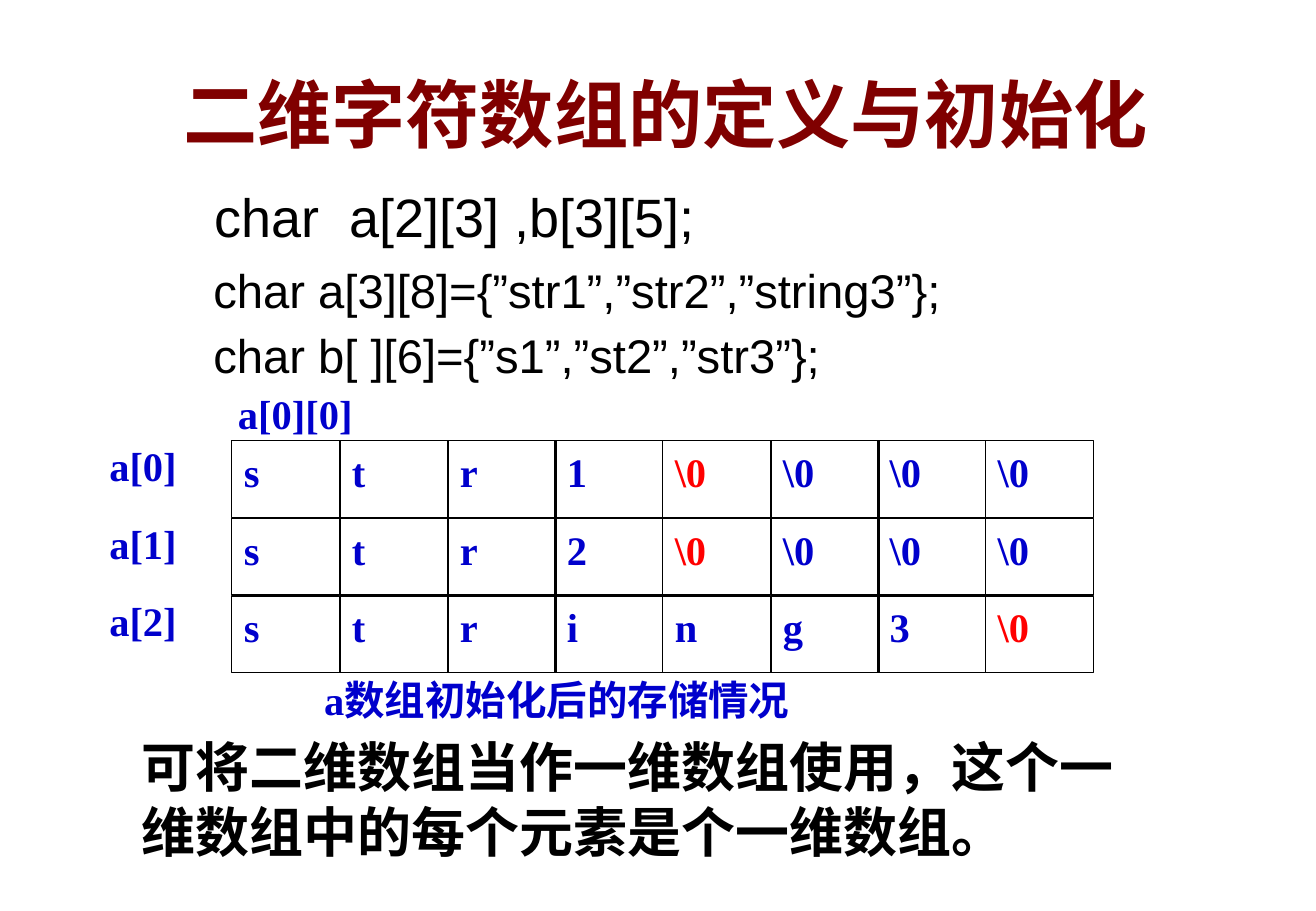
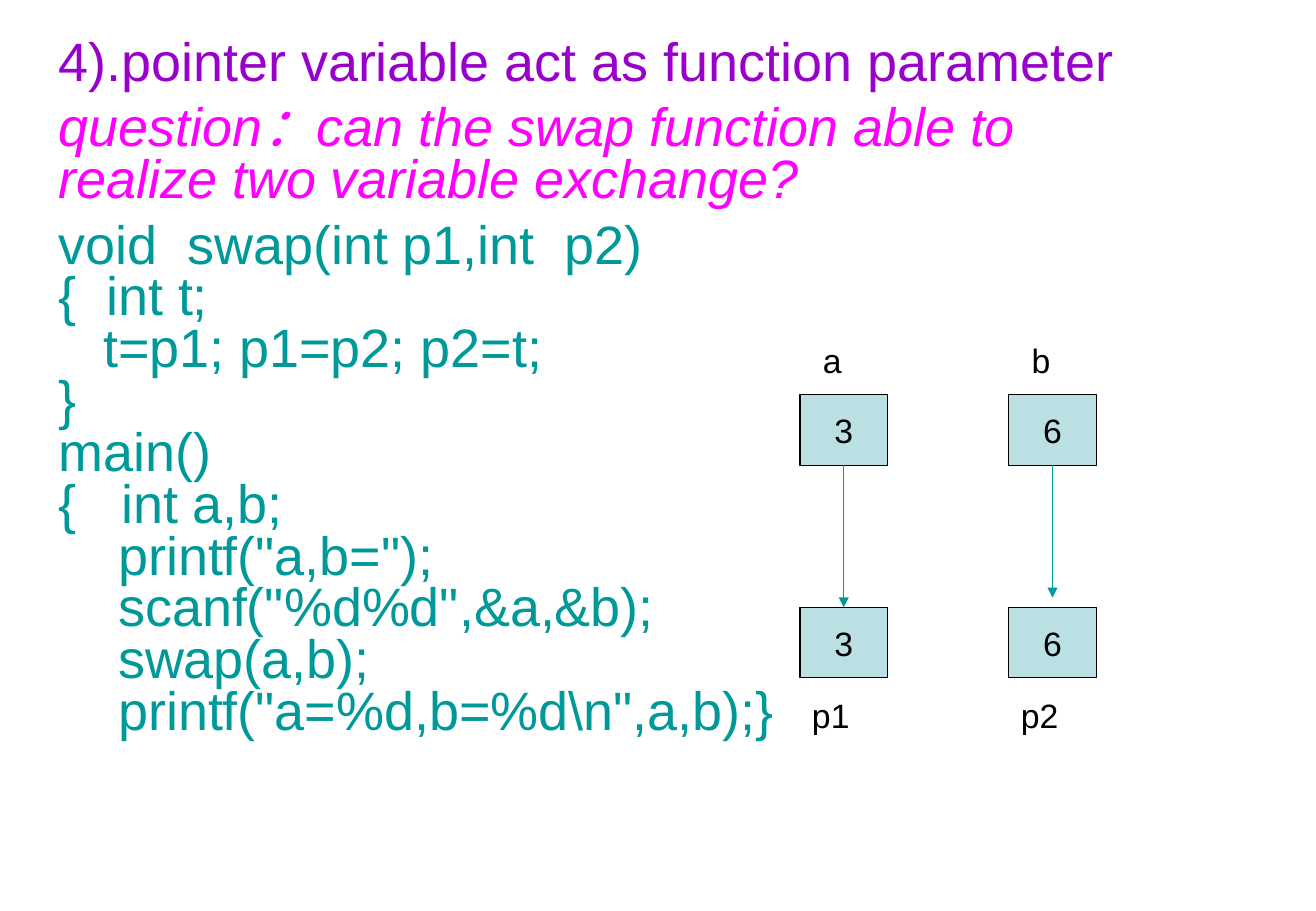
from dataclasses import dataclass

from lxml.etree import SubElement
from pptx import Presentation
from pptx.dml.color import RGBColor
from pptx.enum.shapes import MSO_CONNECTOR, MSO_SHAPE
from pptx.enum.text import MSO_ANCHOR, MSO_AUTO_SIZE, PP_ALIGN
from pptx.oxml.ns import qn
from pptx.util import Pt

PX = 9144
TITLE_AND_BODY, TITLE_ONLY = 1, 5


@dataclass(frozen=True)
class Theme:
    sans: str = "Arial"
    serif: str = "Times New Roman"
    black: str = "000000"
    title: str = "800000"
    storage: str = "0000CC"
    terminator: str = "FF0000"
    heading: str = "9900CC"
    question: str = "FF00FF"
    code: str = "009999"
    box: str = "BBE0E3"
    title_size: int = 44
    body_size: int = 32
    code_size: int = 28
    storage_size: int = 24
    box_size: int = 20
    line_width: float = 0.75


THEME = Theme()

CODE = (
    "void  swap(int p1,int  p2)",
    "{  int t;",
    "   t=p1; p1=p2; p2=t;",
    "}",
    "main()",
    "{   int a,b;",
    '    printf("a,b=");',
    '    scanf("%d%d",&a,&b);',
    "    swap(a,b);",
    '    printf("a=%d,b=%d\\n",a,b);}',
)
STRINGS = ("str1", "str2", "string3")


def rgb(color):
    return RGBColor.from_string(color)


def px(*lengths):
    return [round(n * PX) for n in lengths]


def add_run(p, text, size, color=THEME.black, font=THEME.sans, bold=False, italic=False):
    r = p.add_run()
    r.text = text
    f = r.font
    f.name, f.size, f.bold, f.italic = font, Pt(size), bold, italic
    f.color.rgb = rgb(color)


def next_paragraph(tf, first):
    return tf.paragraphs[0] if first else tf.add_paragraph()


def place(sp, left, top, width, height):
    sp.left, sp.top, sp.width, sp.height = px(left, top, width, height)
    sp.text_frame.auto_size = MSO_AUTO_SIZE.NONE


def set_insets(tf, side, end):
    tf.margin_left = tf.margin_right = side * PX
    tf.margin_top = tf.margin_bottom = end * PX


def add_text(s, at, lines, size, spacing=1.0, align=PP_ALIGN.LEFT, inset=(10, 5), **style):
    tf = s.shapes.add_textbox(*px(*at)).text_frame
    tf.word_wrap = True
    set_insets(tf, *inset)
    for i, line in enumerate(lines):
        p = next_paragraph(tf, i == 0)
        p.alignment = align
        if i or len(lines) == 1:
            p.line_spacing = spacing
        add_run(p, line, size, **style)


def add_rect(s, at, text, size, fill=None, anchor=MSO_ANCHOR.MIDDLE,
             align=PP_ALIGN.CENTER, **style):
    sp = s.shapes.add_shape(MSO_SHAPE.RECTANGLE, *px(*at))
    sp.shadow.inherit = False
    if fill is None:
        sp.fill.background()
    else:
        sp.fill.solid()
        sp.fill.fore_color.rgb = rgb(fill)
    sp.line.color.rgb = rgb(THEME.black)
    sp.line.width = Pt(THEME.line_width)
    tf = sp.text_frame
    tf.vertical_anchor = anchor
    set_insets(tf, 10, 5)
    p = tf.paragraphs[0]
    p.alignment = align
    add_run(p, text, size, **style)
    return sp


def add_storage_label(s, left, top, width, text):
    add_text(s, (left, top, width, 43), [text], THEME.storage_size, inset=(0, 0),
             color=THEME.storage, font=THEME.serif, bold=True)


def add_storage_row(s, left, top, width, columns, string):
    for col in range(columns):
        text = string[col] if col < len(string) else "\\0"
        color = THEME.terminator if col == len(string) else THEME.storage
        x = left + round(col * width / columns)
        add_rect(s, (x, top, 89, 63), text, THEME.storage_size, anchor=MSO_ANCHOR.TOP,
                 align=PP_ALIGN.LEFT, color=color, font=THEME.serif, bold=True)


def add_arrow(s, source, x, top, bottom, target=None):
    cxn = s.shapes.add_connector(MSO_CONNECTOR.STRAIGHT, *px(x, top, x, bottom))
    cxn.begin_connect(source, 2)
    if target is not None:
        cxn.end_connect(target, 0)
    cxn.line.color.rgb = rgb(THEME.code)
    cxn.line.width = Pt(THEME.line_width)
    SubElement(cxn.line._get_or_add_ln(), qn("a:tailEnd"), type="triangle")
    SubElement(cxn._element.spPr, qn("a:effectLst"))


def add_body_line(tf, first, text, color, before=0, italic=False):
    p = next_paragraph(tf, first)
    pPr = p._p.get_or_add_pPr()
    pPr.set("marL", "0")
    pPr.set("indent", "0")
    p.line_spacing = 0.8
    p.space_before = Pt(before)
    SubElement(pPr, qn("a:buNone"))
    add_run(p, text, THEME.body_size, color, italic=italic)


def build_array_slide(prs):
    s = prs.slides.add_slide(prs.slide_layouts[TITLE_ONLY])
    title = s.shapes.title
    place(title, 61, 30, 975, 125)
    title.text_frame.vertical_anchor = MSO_ANCHOR.MIDDLE
    p = title.text_frame.paragraphs[0]
    p.alignment = PP_ALIGN.CENTER
    add_run(p, "二维字符数组的定义与初始化", THEME.title_size, THEME.title, bold=True)

    add_text(s, (117, 141, 516, 69), ["char  a[2][3] ,b[3][5];"], THEME.body_size,
             spacing=1.1, align=PP_ALIGN.CENTER)
    add_text(s, (166, 210, 716, 111),
             ["char a[3][8]={”str1”,”str2”,”string3”};", "char b[ ][6]={”s1”,”st2”,”str3”};"],
             THEME.code_size, spacing=1.15)

    add_storage_label(s, 196, 320, 106, "a[0][0]")
    for row, string in enumerate(STRINGS):
        top = 363 + row * 64
        add_storage_row(s, 191, top, 710, 8, string)
        add_storage_label(s, 90, top, 71, f"a[{row}]")
    add_storage_label(s, 267, 556, 530, "a数组初始化后的存储情况")
    add_text(s, (107, 599, 855, 117),
             ["可将二维数组当作一维数组使用，这个一维数组中的每个元素是个一维数组。"],
             THEME.body_size, bold=True)


def build_pointer_slide(prs):
    s = prs.slides.add_slide(prs.slide_layouts[TITLE_AND_BODY])
    title, body = s.placeholders
    title._element.getparent().remove(title._element)
    place(body, 38, 28, 930, 617)
    tf = body.text_frame
    add_body_line(tf, True, "4).pointer variable act as function parameter", THEME.heading)
    add_body_line(tf, False,
                  "question：can the swap function able to realize two variable exchange?",
                  THEME.question, before=8, italic=True)
    for i, line in enumerate(CODE):
        add_body_line(tf, False, line, THEME.code, before=0 if i else 8)

    variables = (("a", "p1", "3", True, 500), ("b", "p2", "6", False, 492))
    for i, (argument, parameter, value, joined, arrow_end) in enumerate(variables):
        left = 659 + i * 172
        add_text(s, (left + 9, 275, 54, 44), [argument], THEME.box_size)
        source, target = [add_rect(s, (left, top, 72, 58), value, THEME.box_size, THEME.box)
                          for top in (325, 500)]
        add_text(s, (left, 567, 81, 44), [parameter], THEME.box_size)
        add_arrow(s, source, left + 36, 383, arrow_end, target if joined else None)


def main():
    prs = Presentation()
    prs.slide_width, prs.slide_height = px(1084, 750)
    build_array_slide(prs)
    build_pointer_slide(prs)
    prs.save("out.pptx")


if __name__ == "__main__":
    main()
